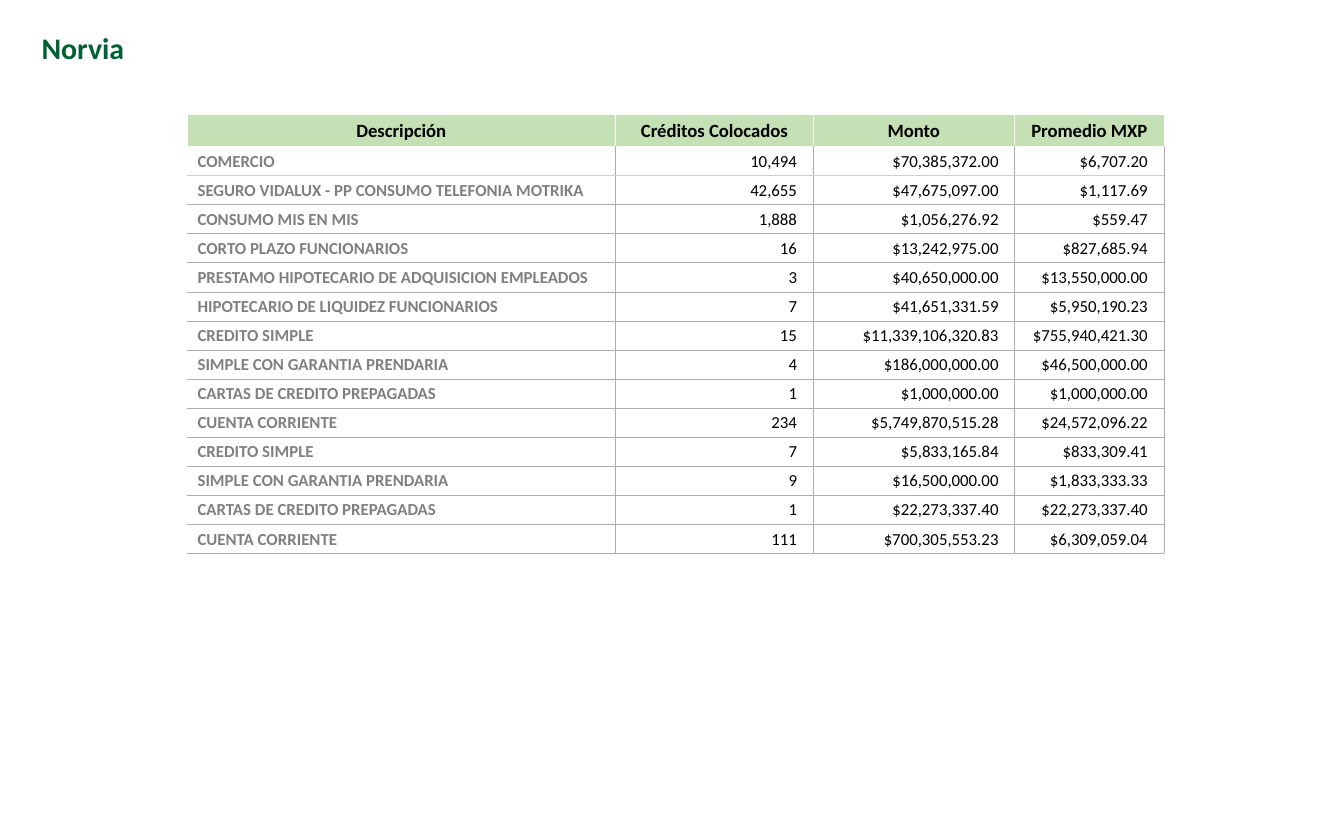
from pptx import Presentation
from pptx.dml.color import RGBColor
from pptx.enum.text import MSO_ANCHOR as Anchor, PP_ALIGN as Align
from pptx.oxml.ns import qn
from pptx.util import Inches, Pt
from lxml.etree import SubElement

COLORS = {
    "title": "006135",
    "header": "C5E0B4",
    "label": "808080",
    "value": "000000",
    "white": "FFFFFF",
    "grid": "AFABAB",
    "light": "D0CECE",
}
FONT = "Calibri"
TITLE = "Norvia"
COLUMN_WIDTHS = [3.19, 1.47, 1.5, 1.11]
HEADER_HEIGHT = 0.24
HEADERS = ["Descripción", "Créditos Colocados", "Monto", "Promedio MXP"]
CREDITS = [
    ("COMERCIO", "10,494", "$70,385,372.00", "$6,707.20"),
    ("SEGURO VIDALUX - PP CONSUMO TELEFONIA MOTRIKA", "42,655", "$47,675,097.00", "$1,117.69"),
    ("CONSUMO MIS EN MIS", "1,888", "$1,056,276.92", "$559.47"),
    ("CORTO PLAZO FUNCIONARIOS", "16", "$13,242,975.00", "$827,685.94"),
    ("PRESTAMO HIPOTECARIO DE ADQUISICION EMPLEADOS", "3", "$40,650,000.00", "$13,550,000.00"),
    ("HIPOTECARIO DE LIQUIDEZ FUNCIONARIOS", "7", "$41,651,331.59", "$5,950,190.23"),
    ("CREDITO SIMPLE", "15", "$11,339,106,320.83", "$755,940,421.30"),
    ("SIMPLE CON GARANTIA PRENDARIA", "4", "$186,000,000.00", "$46,500,000.00"),
    ("CARTAS DE CREDITO PREPAGADAS", "1", "$1,000,000.00", "$1,000,000.00"),
    ("CUENTA CORRIENTE", "234", "$5,749,870,515.28", "$24,572,096.22"),
    ("CREDITO SIMPLE", "7", "$5,833,165.84", "$833,309.41"),
    ("SIMPLE CON GARANTIA PRENDARIA", "9", "$16,500,000.00", "$1,833,333.33"),
    ("CARTAS DE CREDITO PREPAGADAS", "1", "$22,273,337.40", "$22,273,337.40"),
    ("CUENTA CORRIENTE", "111", "$700,305,553.23", "$6,309,059.04"),
]


def style_text(para, size, color, bold, align):
    para.alignment = align
    for span in para.runs:
        span.font.name = FONT
        span.font.size = Pt(size)
        span.font.bold = bold
        span.font.color.rgb = RGBColor.from_string(COLORS[color])


def set_borders(cell, left, right, top, bottom):
    properties = cell._tc.get_or_add_tcPr()
    for side, color in zip("LRTB", (left, right, top, bottom)):
        line = SubElement(properties, qn(f"a:ln{side}"), w=str(Pt(0.25)))
        fill = SubElement(line, qn("a:solidFill"))
        SubElement(fill, qn("a:srgbClr"), val=COLORS[color])


def format_cell(cell, row, column):
    cell.vertical_anchor = Anchor.MIDDLE
    cell.margin_left = cell.margin_right = cell.margin_top = Inches(0.01)
    cell.margin_bottom = 0
    para = cell.text_frame.paragraphs[0]
    if row == 0:
        style_text(para, 10, "value", True, Align.CENTER)
        set_borders(cell, "white", "white", "white", "white")
        cell.fill.solid()
        cell.fill.fore_color.rgb = RGBColor.from_string(COLORS["header"])
        return
    if column == 0:
        cell.margin_left = Inches(0.08)
        style_text(para, 9, "label", True, Align.LEFT)
    else:
        cell.margin_right = Inches(0.12)
        style_text(para, 9, "value", False, Align.RIGHT)
    left = "white" if column == 0 else "grid"
    top = {1: "white", 2: "light"}.get(row, "grid")
    bottom = "light" if row == 1 else "grid"
    set_borders(cell, left, "grid", top, bottom)
    cell.fill.background()


def add_title(page, left, top, width, height):
    title = page.shapes.title
    title.left, title.top = Inches(left), Inches(top)
    title.width, title.height = Inches(width), Inches(height)
    frame = title.text_frame
    frame.text = TITLE
    frame.word_wrap = True
    frame.vertical_anchor = Anchor.MIDDLE
    para = frame.paragraphs[0]
    para.line_spacing = 0.9
    style_text(para, 16, "title", True, Align.LEFT)


def add_credit_table(page, left, top, width, height):
    rows = [HEADERS, *CREDITS]
    box = page.shapes.add_table(
        len(rows), len(HEADERS), Inches(left), Inches(top), Inches(width), Inches(height)
    )
    table = box.table
    table.horz_banding = False
    for column, share in zip(table.columns, COLUMN_WIDTHS):
        column.width = Inches(width * share / sum(COLUMN_WIDTHS))
    body_height = (height - HEADER_HEIGHT) / len(CREDITS)
    for row, values in enumerate(rows):
        table.rows[row].height = Inches(body_height if row else HEADER_HEIGHT)
        for column, value in enumerate(values):
            cell = table.cell(row, column)
            cell.text_frame.text = value
            format_cell(cell, row, column)


def main():
    deck = Presentation()
    deck.slide_width, deck.slide_height = Inches(10), Inches(6.25)
    page = deck.slides.add_slide(deck.slide_layouts[5])
    add_title(page, 0.21, -0.05, 8, 0.84)
    add_credit_table(page, 1.39, 0.85, 7.27, 3.27)
    deck.save("out.pptx")


if __name__ == "__main__":
    main()
